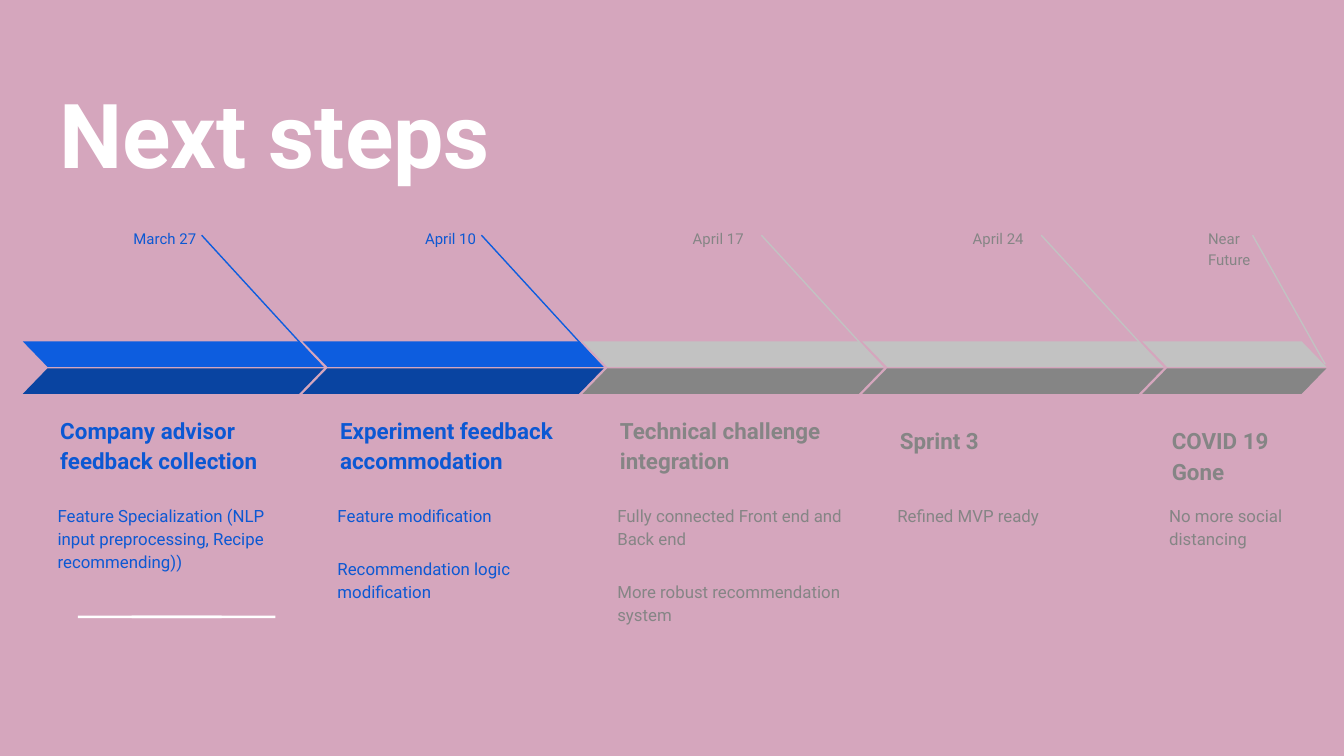
from lxml.etree import SubElement
from pptx import Presentation
from pptx.dml.color import RGBColor
from pptx.enum.shapes import MSO_CONNECTOR, MSO_SHAPE
from pptx.enum.text import MSO_ANCHOR, MSO_AUTO_SIZE, PP_ALIGN
from pptx.oxml.ns import qn
from pptx.util import Inches, Pt

FONT = "Roboto"
PINK = RGBColor(0xD5, 0xA6, 0xBD)
WHITE = RGBColor(0xFF, 0xFF, 0xFF)
# Each palette: text, upper band and flag line, lower band
BLUES = (RGBColor(0x0C, 0x58, 0xD3), RGBColor(0x0D, 0x5D, 0xDF), RGBColor(0x09, 0x44, 0xA1))
GREYS = (RGBColor(0x85, 0x85, 0x85), RGBColor(0xC2, 0xC2, 0xC2), RGBColor(0x85, 0x85, 0x85))

LEFT, LAST_LEFT = 0.17, 8.5
# Offsets from the left of a step, and widths
WIDE = dict(band=2.24, date=(0.63, 0.76), head=(0.18, 1.83), body=(0.16, 1.88), line=(1.33, 2.21))
NARROW = dict(band=1.37, date=(0.39, 0.7), head=(0.12, 1.12), body=(0.1, 1.15), line=(0.82, 1.36))

RIGHT, CENTER, START = PP_ALIGN.RIGHT, PP_ALIGN.CENTER, PP_ALIGN.LEFT
TOP, BOTTOM = MSO_ANCHOR.TOP, MSO_ANCHOR.BOTTOM
STEPS = [
    ("March 27", RIGHT, "Company advisor feedback collection", BOTTOM,
     ["Feature Specialization (NLP input preprocessing, Recipe recommending))"], BLUES, WIDE),
    ("April 10", RIGHT, "Experiment feedback accommodation", BOTTOM,
     ["Feature modification", "Recommendation logic modification"], BLUES, WIDE),
    ("April 17", CENTER, "Technical challenge integration", BOTTOM,
     ["Fully connected Front end and Back end", "More robust recommendation system"], GREYS, WIDE),
    ("April 24", CENTER, "Sprint 3", TOP, ["Refined MVP ready"], GREYS, WIDE),
    ("Near Future", START, "COVID 19 Gone", TOP, ["No more social distancing"], GREYS, NARROW),
]
PITCH = (LAST_LEFT - LEFT) / (len(STEPS) - 1)


def set_insets(tf):
    tf.margin_left = tf.margin_right = tf.margin_top = tf.margin_bottom = Inches(0.1)
    tf.word_wrap = True
    tf.auto_size = MSO_AUTO_SIZE.NONE


def style(font, size, color, bold=False):
    font.name, font.size, font.bold = FONT, Pt(size), bold
    font.color.rgb = color


def add_text(slide, x, y, w, h, paragraphs, size, color, bold=False, align=START, anchor=TOP):
    tf = slide.shapes.add_textbox(Inches(x), Inches(y), Inches(w), Inches(h)).text_frame
    set_insets(tf)
    tf.vertical_anchor = anchor
    for i, text in enumerate(paragraphs):
        p = tf.add_paragraph() if i else tf.paragraphs[0]
        p.text = text
        p.alignment = align
        p.line_spacing = 1.15
        if i:
            p.space_before = Pt(16)
        style(p.font, size, color, bold)


def add_block(slide, shape, x, y, w, h, color):
    sp = slide.shapes.add_shape(shape, Inches(x), Inches(y), Inches(w), Inches(h))
    sp.shadow.inherit = False
    sp.fill.solid()
    sp.fill.fore_color.rgb = color
    sp.line.fill.background()
    return sp


def add_flag_line(slide, x1, x2, color):
    line = slide.shapes.add_connector(
        MSO_CONNECTOR.STRAIGHT, Inches(x1), Inches(1.75), Inches(x2), Inches(2.71))
    line.line.color.rgb = color
    line.line.width = Pt(0.75)
    SubElement(line._element.spPr, qn("a:effectLst"))


def add_step(slide, x, step):
    date, date_align, head, head_anchor, body, (ink, upper, lower), size = step

    def place(part):
        offset, width = size[part]
        return x + offset, width

    date_x, date_w = place("date")
    add_text(slide, date_x, 1.59, date_w, 0.31, [date], 8, ink, align=date_align)
    head_x, head_w = place("head")
    add_text(slide, head_x, 3.05, head_w, 0.58, [head], 12, ink, True, anchor=head_anchor)
    body_x, body_w = place("body")
    add_text(slide, body_x, 3.64, body_w, 0.96, body, 9, ink)
    start, end = size["line"]
    add_flag_line(slide, x + start, x + end, upper)
    for y, color, flip in ((2.54, upper, True), (2.74, lower, False)):
        sp = add_block(slide, MSO_SHAPE.PARALLELOGRAM, x, y, size["band"], 0.19, color)
        sp.adjustments[0] = 0.97
        if flip:
            sp._element.spPr.xfrm.set("flipH", "1")


def main():
    prs = Presentation()
    prs.slide_width = Inches(10)
    prs.slide_height = prs.slide_width * 9 // 16
    slide = prs.slides.add_slide(prs.slide_layouts[5])
    slide.background.fill.solid()
    slide.background.fill.fore_color.rgb = PINK

    for x in (0.98, 0.58):
        add_block(slide, MSO_SHAPE.RECTANGLE, x, 4.58, 1.07, 0.02, WHITE)

    title = slide.shapes.title
    title.left, title.top, title.width, title.height = map(Inches, (0.34, 0.49, 9.32, 0.63))
    tf = title.text_frame
    set_insets(tf)
    tf.vertical_anchor = TOP
    p = tf.paragraphs[0]
    p.text = "Next steps"
    p.alignment = START
    style(p.font, 48, WHITE, True)

    for i, step in enumerate(STEPS):
        add_step(slide, LEFT + i * PITCH, step)
    prs.save("out.pptx")


if __name__ == "__main__":
    main()
